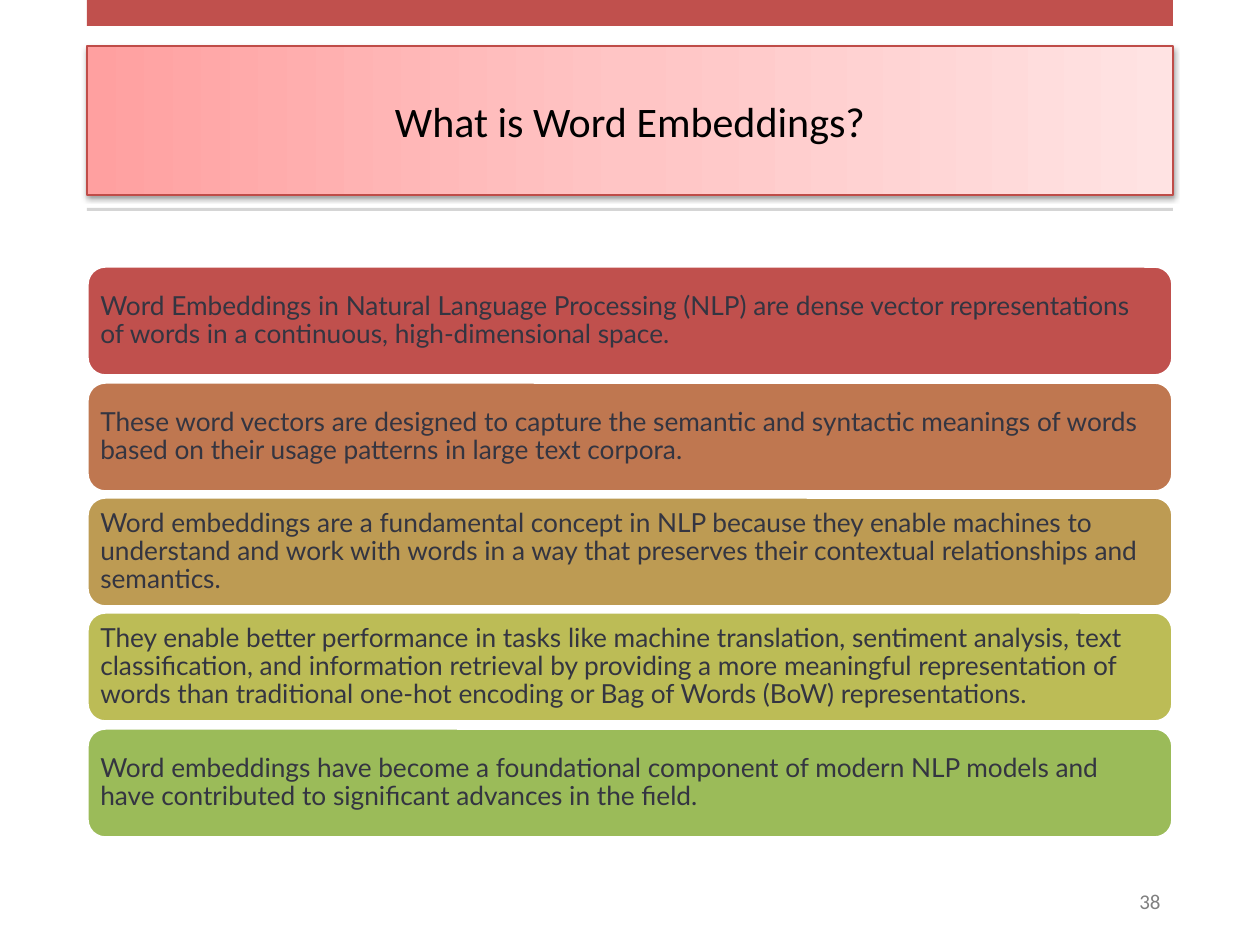
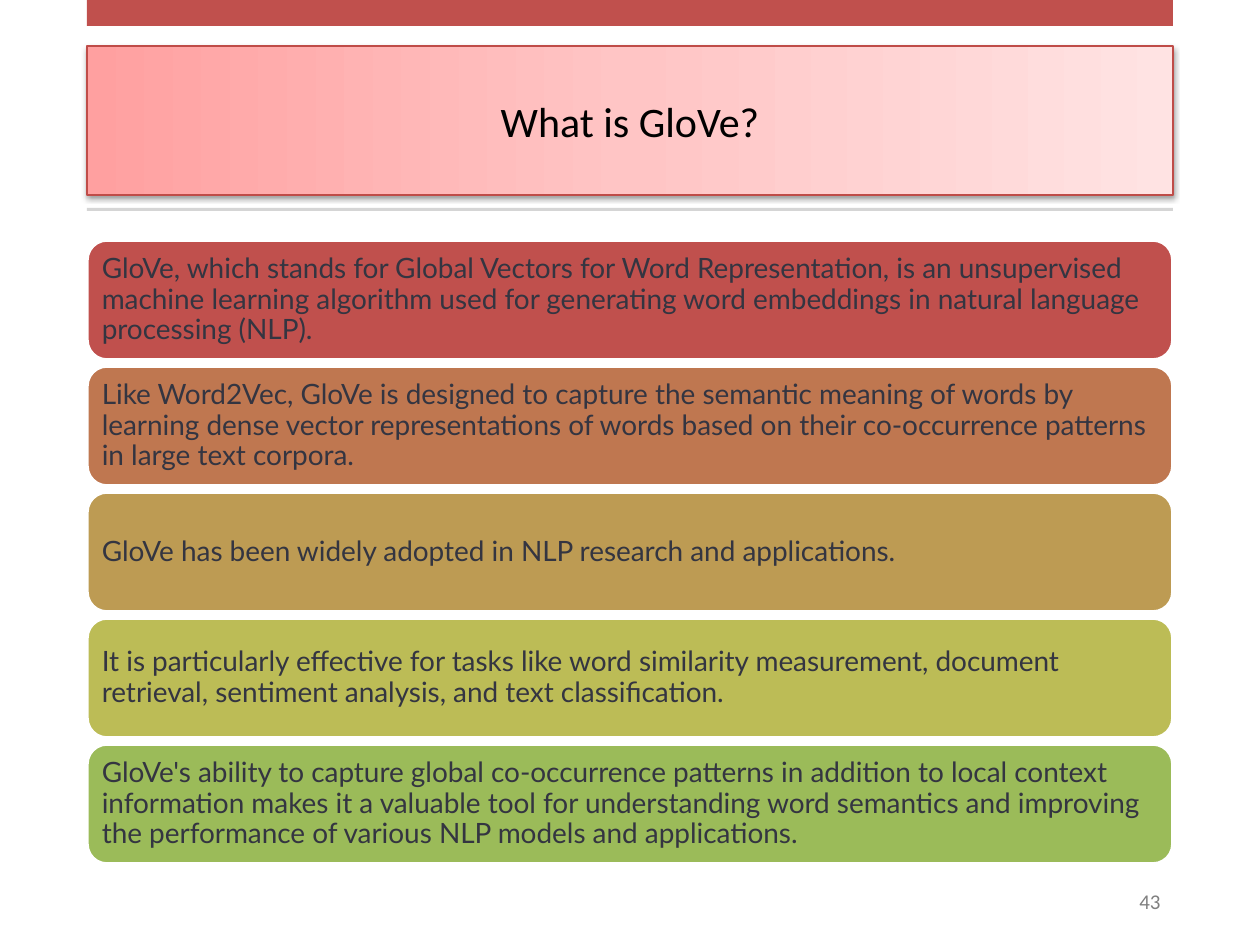
from dataclasses import dataclass

import lxml.etree
import pptx
import pptx.dml.color
import pptx.enum.shapes
import pptx.enum.text
import pptx.oxml
import pptx.oxml.ns
import pptx.util

# Scale and shared look
PX = 914400 / 126
SLIDE_WIDTH, SLIDE_HEIGHT = 1260, 945
LEFT, WIDTH = 87, 1086
RED, RULE_GREY, NUMBER_GREY = "C0504D", "D5D5D5", "808080"
TITLE_BORDER, CARD_TEXT, WHITE, BLACK = "BF4C48", "343541", "FFFFFF", "000000"
TITLE_STOPS = ((0, "FFA0A0"), (50, "FFC5C5"), (100, "FFE3E3"))
CARD_FILLS = (RED, "BF7750", "BD9B53", "BCBC56", "9BBB59")
TITLE_FONT, CARD_FONT = "Calibri", "Lato"

SHAPE = pptx.enum.shapes.MSO_SHAPE
ALIGN = pptx.enum.text.PP_ALIGN
MIDDLE = pptx.enum.text.MSO_ANCHOR.MIDDLE


@dataclass(frozen=True)
class Box:
    left: int
    top: int
    width: int
    height: int

    def emu(self) -> list[int]:
        return [px(v) for v in (self.left, self.top, self.width, self.height)]


@dataclass(frozen=True)
class CardStack:
    first_top: int
    last_top: int
    height: int
    inset: int
    size: int


@dataclass(frozen=True)
class Topic:
    title: str
    number: str
    stack: CardStack
    statements: tuple[str, ...]


TITLE_BOX = Box(LEFT, 46, WIDTH, 149)
TOP_BAND = Box(LEFT, 0, WIDTH, 26)
TITLE_RULE = Box(LEFT, 208, WIDTH, 3)
NUMBER_BOX = Box(901, 876, 272, 50)

TOPICS = (
    Topic("What is Word Embeddings?", "38", CardStack(266, 728, 110, 8, 15), (
        "Word Embeddings in Natural Language Processing (NLP) are dense vector "
        "representations of words in a continuous, high-dimensional space.",
        "These word vectors are designed to capture the semantic and syntactic "
        "meanings of words based on their usage patterns in large text corpora.",
        "Word embeddings are a fundamental concept in NLP because they enable "
        "machines to understand and work with words in a way that preserves "
        "their contextual relationships and semantics.",
        "They enable better performance in tasks like machine translation, "
        "sentiment analysis, text classification, and information retrieval by "
        "providing a more meaningful representation of words than traditional "
        "one-hot encoding or Bag of Words (BoW) representations.",
        "Word embeddings have become a foundational component of modern NLP "
        "models and have contributed to significant advances in the field.",
    )),
    Topic("What is GloVe?", "43", CardStack(240, 744, 120, 9, 16), (
        "GloVe, which stands for Global Vectors for Word Representation, is an "
        "unsupervised machine learning algorithm used for generating word "
        "embeddings in natural language processing (NLP).",
        "Like Word2Vec, GloVe is designed to capture the semantic meaning of "
        "words by learning dense vector representations of words based on their "
        "co-occurrence patterns in large text corpora.",
        "GloVe has been widely adopted in NLP research and applications.",
        "It is particularly effective for tasks like word similarity "
        "measurement, document retrieval, sentiment analysis, and text "
        "classification.",
        "GloVe's ability to capture global co-occurrence patterns in addition "
        "to local context information makes it a valuable tool for "
        "understanding word semantics and improving the performance of various "
        "NLP models and applications.",
    )),
)


def px(length: float) -> int:
    return round(length * PX)


def color(value: str) -> pptx.dml.color.RGBColor:
    return pptx.dml.color.RGBColor.from_string(value)


def write(shape, text: str, font: str, size: int, ink: str, align) -> None:
    """Put one middle-anchored paragraph into a shape."""
    frame = shape.text_frame
    frame.text = text
    frame.word_wrap = True
    frame.auto_size = pptx.enum.text.MSO_AUTO_SIZE.NONE
    frame.vertical_anchor = MIDDLE
    paragraph = frame.paragraphs[0]
    paragraph.alignment = align
    for run in paragraph.runs:
        run.font.name = font
        run.font.size = pptx.util.Pt(size)
        run.font.color.rgb = color(ink)


def add_filled(slide, kind, box: Box, fill: str):
    shape = slide.shapes.add_shape(kind, *box.emu())
    shape.shadow.inherit = False
    shape.fill.solid()
    shape.fill.fore_color.rgb = color(fill)
    shape.line.fill.background()
    return shape


def add_gradient_and_shadow(shape) -> None:
    """Left-to-right three-stop gradient and a soft shadow below."""
    ns = pptx.oxml.ns.nsdecls("a")
    stops = "".join(f'<a:gs pos="{pos * 1000}"><a:srgbClr val="{value}"/></a:gs>'
                    for pos, value in TITLE_STOPS)
    gradient = pptx.oxml.parse_xml(
        f'<a:gradFill {ns} rotWithShape="1"><a:gsLst>{stops}</a:gsLst>'
        '<a:lin ang="0" scaled="0"/></a:gradFill>')
    shadow = pptx.oxml.parse_xml(
        f'<a:effectLst {ns}><a:outerShdw blurRad="40000" dist="20000" dir="5400000" '
        f'rotWithShape="0"><a:srgbClr val="{BLACK}"><a:alpha val="38000"/></a:srgbClr>'
        '</a:outerShdw></a:effectLst>')
    outline = shape.line._get_or_add_ln()
    outline.addprevious(gradient)
    outline.addnext(shadow)


def add_title(slide, text: str) -> None:
    title = slide.shapes.title
    title.left, title.top, title.width, title.height = TITLE_BOX.emu()
    title.line.color.rgb = color(TITLE_BORDER)
    title.line.width = pptx.util.Pt(0.75)
    add_gradient_and_shadow(title)
    write(title, text, TITLE_FONT, 24, BLACK, ALIGN.CENTER)


def add_cards(slide, stack: CardStack, statements: tuple[str, ...]) -> None:
    pitch = (stack.last_top - stack.first_top) / (len(statements) - 1)
    for i, (statement, fill) in enumerate(zip(statements, CARD_FILLS)):
        box = Box(LEFT, round(stack.first_top + i * pitch), WIDTH, stack.height)
        card = add_filled(slide, SHAPE.ROUNDED_RECTANGLE, box, fill)
        card.line.color.rgb = color(WHITE)
        card.line.width = pptx.util.Pt(2)
        write(card, statement, CARD_FONT, stack.size, CARD_TEXT, ALIGN.LEFT)
        frame = card.text_frame
        frame.margin_left = frame.margin_right = px(stack.inset)
        frame.margin_top = frame.margin_bottom = px(stack.inset)
        frame.paragraphs[0].line_spacing = 0.9


def add_topic_slide(deck, topic: Topic) -> None:
    slide = deck.slides.add_slide(deck.slide_layouts.get_by_name("Title Only"))
    add_title(slide, topic.title)
    # Band, rule and page number
    add_filled(slide, SHAPE.RECTANGLE, TOP_BAND, RED)
    add_filled(slide, SHAPE.RECTANGLE, TITLE_RULE, RULE_GREY)
    number = slide.shapes.add_textbox(*NUMBER_BOX.emu())
    write(number, topic.number, TITLE_FONT, 12, NUMBER_GREY, ALIGN.RIGHT)
    add_cards(slide, topic.stack, topic.statements)


def main() -> None:
    deck = pptx.Presentation()
    deck.slide_width, deck.slide_height = px(SLIDE_WIDTH), px(SLIDE_HEIGHT)
    for topic in TOPICS:
        add_topic_slide(deck, topic)
    deck.save("out.pptx")


if __name__ == "__main__":
    main()
